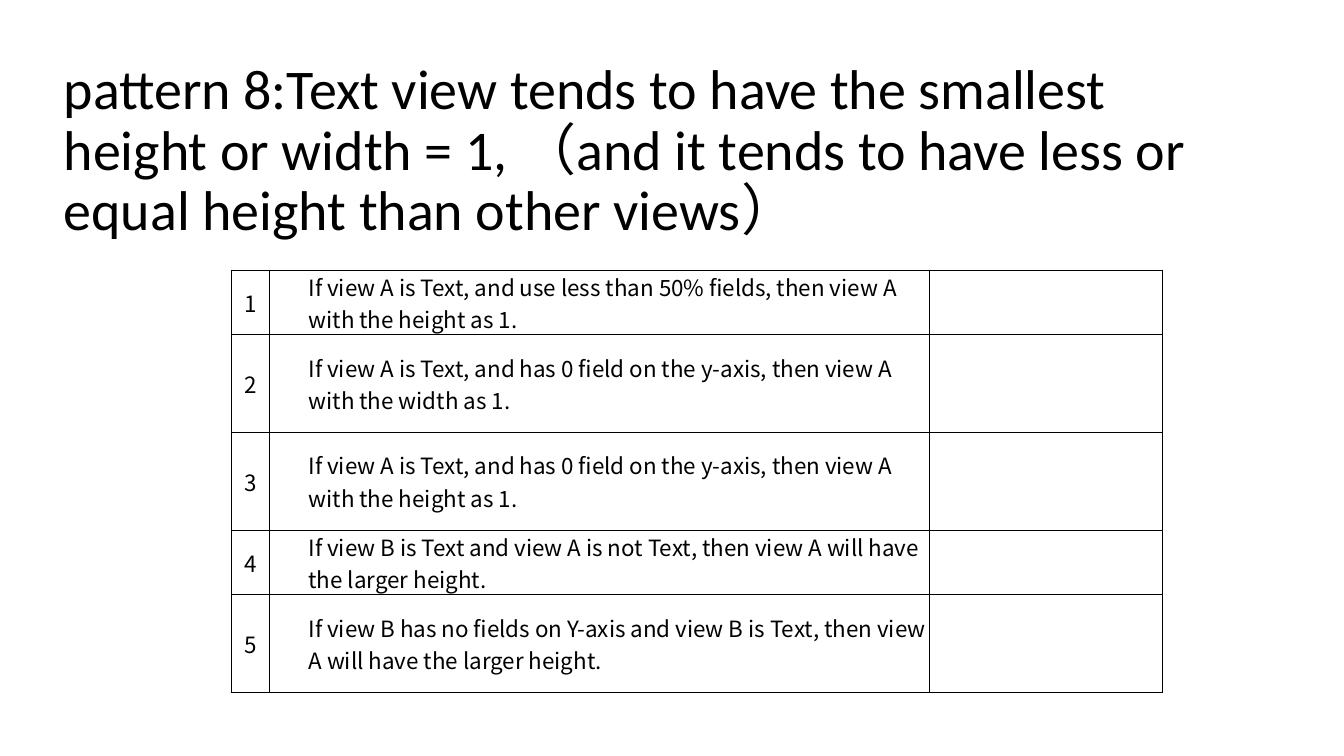
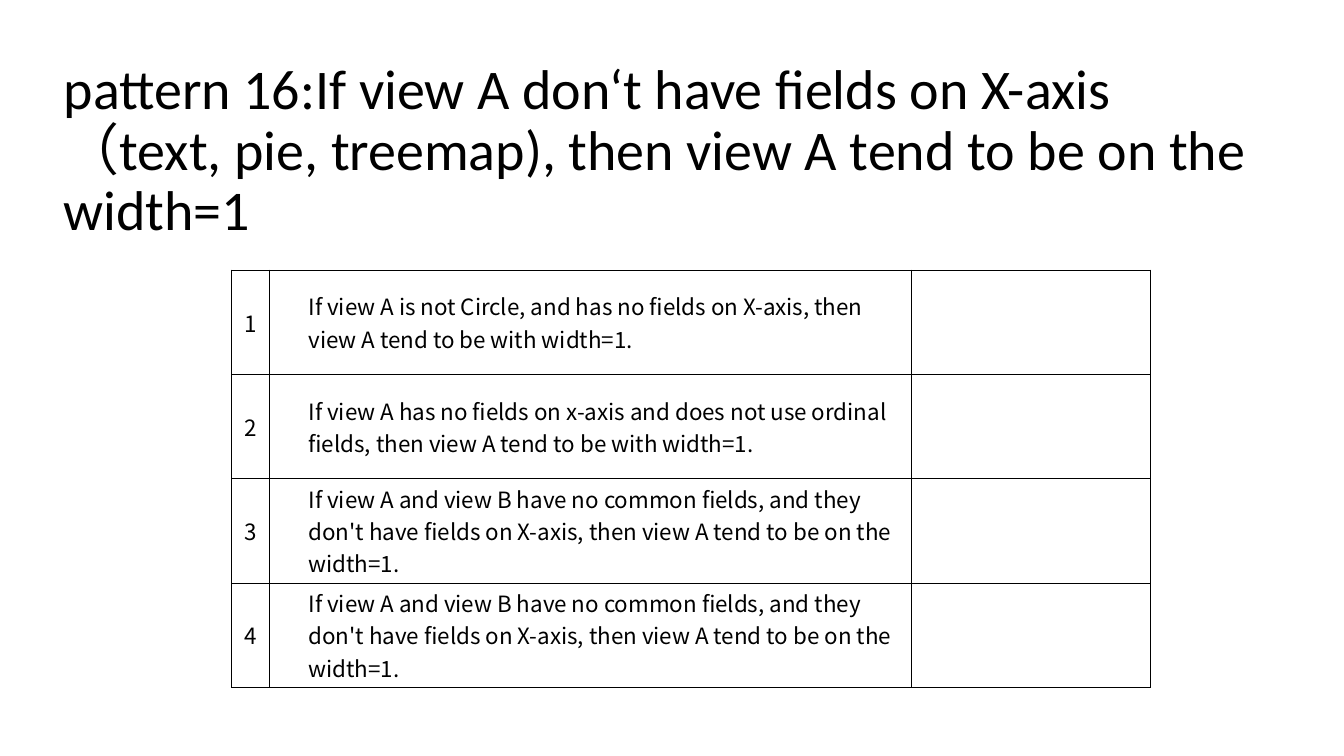
"""Build two slides that each list the rules behind a view layout pattern."""
from dataclasses import dataclass

import lxml.etree
import pptx
import pptx.dml.color
import pptx.enum.text
import pptx.oxml.ns
import pptx.util

SLIDE_WIDTH = pptx.util.Inches(13.33)
SLIDE_HEIGHT = pptx.util.Inches(7.5)
INK = "000000"
TITLE_FONT = "Calibri"
RULE_FONT = "Noto Sans CJK SC"
TITLE_SIZE = 40
RULE_SIZE = 16
BORDER_WIDTH = pptx.util.Pt(0.75)
RULE_INDENT = pptx.util.Inches(0.39)
TITLE_BOX = (4, 11.33, 90.25, 21.47)
TABLE_CORNER = (17.25, 35.73)
SHORT_ROW, TALL_ROW, EVEN_ROW = 8.55, 12.93, 13.8


@dataclass(frozen=True)
class Rule:
    text: str
    height: float


@dataclass(frozen=True)
class Pattern:
    title: str
    columns: tuple[float, float, float]
    rules: tuple[Rule, ...]


PATTERNS = (
    Pattern(
        "pattern 8:Text view tends to have the smallest height or width = 1, "
        "（and it tends to have less or equal height than other views）",
        (2.78, 49.13, 17.33),
        (
            Rule("If view A is Text, and use less than 50% fields, then view A "
                 "with the height as 1.", SHORT_ROW),
            Rule("If view A is Text, and has 0 field on the y-axis, then view A "
                 "with the width as 1.", TALL_ROW),
            Rule("If view A is Text, and has 0 field on the y-axis, then view A "
                 "with the height as 1.", TALL_ROW),
            Rule("If view B is Text and view A is not Text, then view A will have "
                 "the larger height.", SHORT_ROW),
            Rule("If view B has no fields on Y-axis and view B is Text, then view "
                 "A will have the larger height.", TALL_ROW),
        ),
    ),
    Pattern(
        "pattern 16:If view A don‘t have fields on X-axis "
        "（text, pie, treemap), then view A tend to be on the width=1",
        (2.78, 47.78, 17.78),
        (
            Rule("If view A is not Circle, and has no fields on X-axis, then "
                 "view A tend to be with width=1.", EVEN_ROW),
            Rule("If view A has no fields on x-axis and does not use ordinal "
                 "fields, then view A tend to be with width=1.", EVEN_ROW),
        ) + (
            Rule("If view A and view B have no common fields, and they "
                 "don't have fields on X-axis, then view A tend to be on the "
                 "width=1.", EVEN_ROW),
        ) * 2,
    ),
)


def across(percent: float) -> int:
    return round(SLIDE_WIDTH * percent / 100)


def down(percent: float) -> int:
    return round(SLIDE_HEIGHT * percent / 100)


def color(value: str) -> pptx.dml.color.RGBColor:
    return pptx.dml.color.RGBColor.from_string(value)


def style_runs(paragraph, font_name: str, size: float) -> None:
    for run in paragraph.runs:
        run.font.name = font_name
        run.font.size = pptx.util.Pt(size)
        run.font.color.rgb = color(INK)
        east_asian = lxml.etree.SubElement(
            run.font._element, pptx.oxml.ns.qn("a:ea"))
        east_asian.set("typeface", RULE_FONT)


def add_title(slide, title: str) -> None:
    left, top, width, height = TITLE_BOX
    box = slide.shapes.add_textbox(
        across(left), down(top), across(width), down(height))
    frame = box.text_frame
    frame.word_wrap = True
    frame.vertical_anchor = pptx.enum.text.MSO_ANCHOR.BOTTOM
    frame.text = title
    paragraph = frame.paragraphs[0]
    paragraph.line_spacing = 0.9
    style_runs(paragraph, TITLE_FONT, TITLE_SIZE)


def frame_cell(cell) -> None:
    properties = cell._tc.get_or_add_tcPr()
    for side in ("lnL", "lnR", "lnT", "lnB"):
        line = lxml.etree.SubElement(properties, pptx.oxml.ns.qn(f"a:{side}"))
        line.set("w", str(int(BORDER_WIDTH)))
        fill = lxml.etree.SubElement(line, pptx.oxml.ns.qn("a:solidFill"))
        lxml.etree.SubElement(
            fill, pptx.oxml.ns.qn("a:srgbClr")).set("val", INK)
    cell.fill.background()


def write_cell(cell, text: str, centred: bool) -> None:
    cell.margin_left = cell.margin_right = 0
    cell.margin_top = cell.margin_bottom = 0
    cell.vertical_anchor = pptx.enum.text.MSO_ANCHOR.MIDDLE
    cell.text_frame.text = text
    paragraph = cell.text_frame.paragraphs[0]
    if centred:
        paragraph.alignment = pptx.enum.text.PP_ALIGN.CENTER
    else:
        indent = paragraph._p.get_or_add_pPr()
        indent.set("marL", str(int(RULE_INDENT)))
        indent.set("indent", "0")
    style_runs(paragraph, RULE_FONT, RULE_SIZE)


def add_rules(slide, pattern: Pattern) -> None:
    left, top = TABLE_CORNER
    table = slide.shapes.add_table(
        len(pattern.rules), len(pattern.columns), across(left), down(top),
        across(sum(pattern.columns)),
        down(sum(rule.height for rule in pattern.rules))).table
    table.first_row = False
    table.horz_banding = False
    for column, width in zip(table.columns, pattern.columns):
        column.width = across(width)
    for number, (row, rule) in enumerate(zip(table.rows, pattern.rules), 1):
        row.height = down(rule.height)
        for cell in row.cells:
            frame_cell(cell)
        write_cell(row.cells[0], str(number), centred=True)
        write_cell(row.cells[1], rule.text, centred=False)


def main() -> None:
    deck = pptx.Presentation()
    deck.slide_width = SLIDE_WIDTH
    deck.slide_height = SLIDE_HEIGHT
    for pattern in PATTERNS:
        slide = deck.slides.add_slide(deck.slide_layouts[6])
        add_title(slide, pattern.title)
        add_rules(slide, pattern)
    deck.save("out.pptx")


if __name__ == "__main__":
    main()
